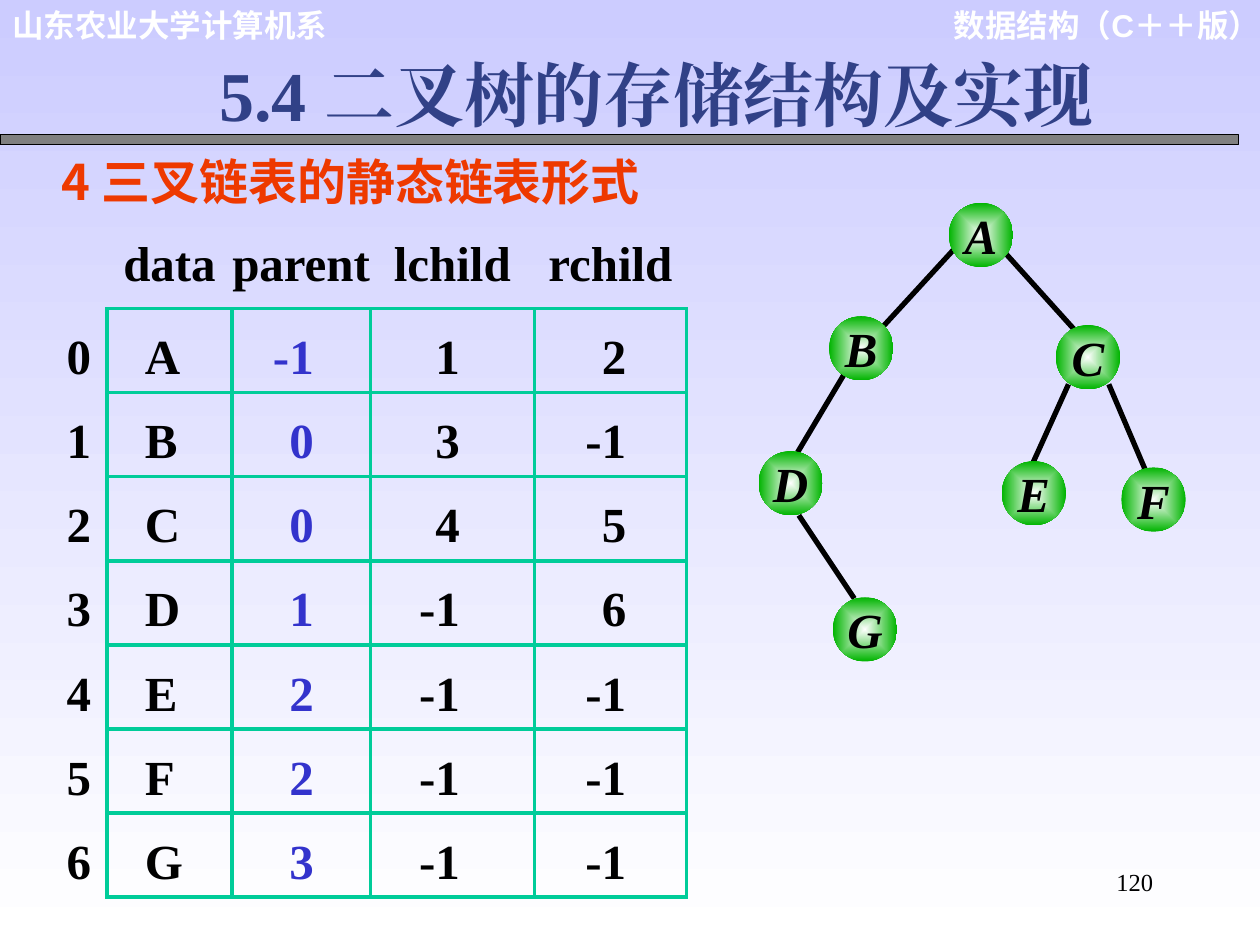
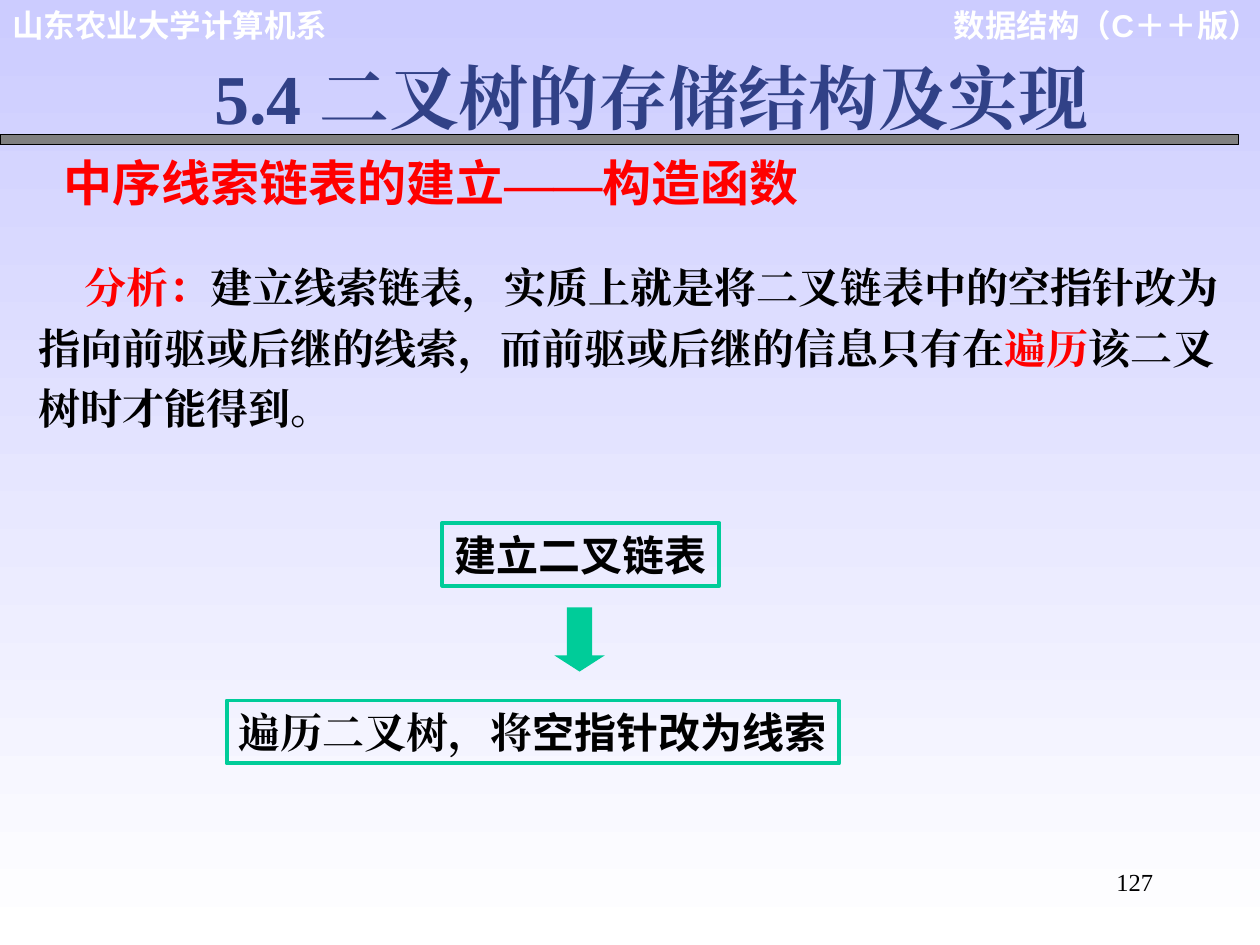
from dataclasses import dataclass
from itertools import accumulate

from lxml import etree
from pptx import Presentation
from pptx.dml.color import RGBColor
from pptx.enum.shapes import MSO_CONNECTOR, MSO_SHAPE
from pptx.enum.text import MSO_ANCHOR, MSO_AUTO_SIZE, PP_ALIGN
from pptx.oxml.ns import qn
from pptx.util import Inches, Pt

LEFT, CENTER, RIGHT, JUSTIFY = PP_ALIGN.LEFT, PP_ALIGN.CENTER, PP_ALIGN.RIGHT, PP_ALIGN.JUSTIFY
TOP, MIDDLE = MSO_ANCHOR.TOP, MSO_ANCHOR.MIDDLE
RECTANGLE, OVAL, DOWN_ARROW = MSO_SHAPE.RECTANGLE, MSO_SHAPE.OVAL, MSO_SHAPE.DOWN_ARROW
STRAIGHT = MSO_CONNECTOR.STRAIGHT
TITLE_ONLY = 5


@dataclass(frozen=True)
class Theme:
    serif: str = "Times New Roman"
    sans: str = "Arial"
    chinese: str = "Noto Sans CJK SC"
    black: str = "000000"
    white: str = "FFFFFF"
    sky: str = "CCCCFF"
    band: str = "808080"
    title: str = "314187"
    orange: str = "EE3900"
    red: str = "FF0000"
    blue: str = "3333CC"
    teal: str = "00CC99"
    green: str = "00B400"
    title_size: int = 40
    heading_size: int = 28
    body_size: int = 24
    header_size: int = 18
    number_size: int = 14


THEME = Theme()

# Content shared by both slides
DEPARTMENT = "山东农业大学计算机系"
COURSE = "数据结构（C＋＋版）"
TITLE = "5.4 二叉树的存储结构及实现"

# Slide 1: static linked list and its tree
LIST_HEADING = "4 三叉链表的静态链表形式"
FIELDS = ["", "data", "parent", "lchild", "rchild"]
RECORDS = [
    ("A", -1, 1, 2),
    ("B", 0, 3, -1),
    ("C", 0, 4, 5),
    ("D", 1, -1, 6),
    ("E", 2, -1, -1),
    ("F", 2, -1, -1),
    ("G", 3, -1, -1),
]
# Width, alignment, left margin, right margin and colour of each column
COLUMNS = [
    (0.45, CENTER, 0, 0, THEME.black),
    (0.99, LEFT, 0.3, 0, THEME.black),
    (1.1, RIGHT, 0, 0.45, THEME.blue),
    (1.3, RIGHT, 0, 0.59, THEME.black),
    (1.21, RIGHT, 0, 0.48, THEME.black),
]
TABLE_LEFT, TABLE_TOP = 0.4, 1.75
HEAD_HEIGHT, GRID_HEIGHT = 0.7, 4.67

NODE_SIZE = 0.51
NODES = {
    "A": (7.53, 1.61), "B": (6.58, 2.51), "C": (8.38, 2.58), "D": (6.02, 3.58),
    "E": (7.95, 3.66), "F": (8.9, 3.71), "G": (6.61, 4.74),
}
EDGES = [
    (7.57, 1.98, 7.01, 2.59),
    (7.98, 2.01, 8.53, 2.62),
    (6.7, 2.97, 6.33, 3.59),
    (6.34, 4.09, 6.78, 4.75),
    (8.48, 3.05, 8.2, 3.67),
    (8.8, 3.05, 9.09, 3.73),
]

# Slide 2: building the threaded list; a run is text or (text, format)
THREAD_HEADING = ["中序线索链表的建立", ("——", {"font": THEME.serif}), "构造函数"]
ANALYSIS = [
    ("分析：", {"color": THEME.red}),
    "建立线索链表，实质上就是将二叉链表中的空指针改为指向前驱或后继的线索，"
    "而前驱或后继的信息只有在",
    ("遍历", {"color": THEME.red}),
    "该二叉树时才能得到。",
]
STEPS = [
    ((3.51, 4.15, 2.2, 0.5), [("建立二叉链表", {"font": THEME.sans})]),
    ((1.8, 5.56, 4.86, 0.5), ["遍历二叉树，将", ("空指针改为线索", {"font": THEME.sans})]),
]


def rgb(color):
    return RGBColor.from_string(color)


def inches(*values):
    return [Inches(value) for value in values]


def format_span(span, size, color, font, bold, italic):
    span.font.size = Pt(size)
    span.font.bold = bold
    span.font.italic = italic
    span.font.name = font
    span.font.color.rgb = rgb(color)
    latin = span.font._element.find(qn("a:latin"))
    east_asian = etree.Element(qn("a:ea"), typeface=font)
    latin.addnext(east_asian)


def write_text(frame, text, size=THEME.heading_size, color=THEME.black, font=THEME.serif,
               bold=True, italic=False, align=LEFT, anchor=TOP, wrap=True,
               margins=(0.1, 0.05, 0.1, 0.05), line_spacing=None, indent=0):
    """Fill a shape's or cell's text frame with one paragraph of runs."""
    frame.word_wrap = wrap
    frame.vertical_anchor = anchor
    (frame.margin_left, frame.margin_top,
     frame.margin_right, frame.margin_bottom) = inches(*margins)
    para = frame.paragraphs[0]
    para.alignment = align
    if line_spacing:
        para.line_spacing = line_spacing
    if indent:
        para._p.get_or_add_pPr().set("indent", str(Inches(indent)))
    base = dict(size=size, color=color, font=font, bold=bold, italic=italic)
    for part in [text] if isinstance(text, str) else text:
        words, changes = (part, {}) if isinstance(part, str) else part
        span = para.add_run()
        span.text = words
        format_span(span, **{**base, **changes})


def add_text(page, place, text, **text_format):
    box = page.shapes.add_textbox(*inches(*place))
    write_text(box.text_frame, text, **text_format)


def add_figure(page, kind, place, fill=None, line=None, width=0.75):
    figure = page.shapes.add_shape(kind, *inches(*place))
    figure.shadow.inherit = False
    if fill:
        figure.fill.solid()
        figure.fill.fore_color.rgb = rgb(fill)
    else:
        figure.fill.background()
    if line:
        figure.line.color.rgb = rgb(line)
        figure.line.width = Pt(width)
    else:
        figure.line.fill.background()
    return figure


def set_gradient(fill, first, last):
    fill.gradient()
    for stop, color, position in zip(fill.gradient_stops, (first, last), (0, 1)):
        stop.color.rgb = rgb(color)
        stop.position = position


def add_page(deck, number, title_left, title_top):
    page = deck.slides.add_slide(deck.slide_layouts[TITLE_ONLY])
    # Header texts and band
    header = dict(size=THEME.header_size, color=THEME.white, font=THEME.sans)
    add_text(page, (7.39, 0, 2.71, 0.7), COURSE, align=RIGHT, **header)
    add_text(page, (0, 0, 2.71, 0.4), DEPARTMENT, **header)
    add_figure(page, RECTANGLE, (0, 1.07, 9.83, 0.08), THEME.band, THEME.black)
    # Title and page number
    title = page.shapes.title
    title.left, title.top, title.width, title.height = inches(title_left, title_top, 7.71, 0.77)
    write_text(title.text_frame, TITLE, size=THEME.title_size, color=THEME.title, align=JUSTIFY)
    title.text_frame.auto_size = MSO_AUTO_SIZE.NONE
    add_text(page, (7.17, 6.83, 2.08, 0.5), str(number), size=THEME.number_size,
             bold=False, align=RIGHT)
    return page


def set_borders(cell, visible):
    """Draw the four edges of a cell; visible maps an edge name to a flag."""
    properties = cell._tc.get_or_add_tcPr()
    for position, edge in enumerate(("lnL", "lnR", "lnT", "lnB")):
        line = etree.Element(qn(f"a:{edge}"), w=str(Pt(2.25)))
        if visible[edge]:
            fill = etree.SubElement(line, qn("a:solidFill"))
            etree.SubElement(fill, qn("a:srgbClr"), val=THEME.teal)
        else:
            etree.SubElement(line, qn("a:noFill"))
        properties.insert(position, line)


def add_list_table(page):
    rows = [FIELDS] + [(index, *record) for index, record in enumerate(RECORDS)]
    widths = [column[0] for column in COLUMNS]
    row_height = GRID_HEIGHT / len(RECORDS)
    frame = page.shapes.add_table(
        len(rows), len(COLUMNS),
        *inches(TABLE_LEFT, TABLE_TOP, list(accumulate(widths))[-1], HEAD_HEIGHT + GRID_HEIGHT))
    table = frame.table
    table.first_row = table.horz_banding = False
    for column, width in zip(table.columns, widths):
        column.width = Inches(width)
    for row_index, values in enumerate(rows):
        in_grid = row_index > 0
        table.rows[row_index].height = Inches(row_height if in_grid else HEAD_HEIGHT)
        for column_index, value in enumerate(values):
            _, align, left, right, color = COLUMNS[column_index]
            cell = table.cell(row_index, column_index)
            cell.fill.background()
            in_columns = column_index > 0
            set_borders(cell, {
                "lnL": in_grid and in_columns, "lnR": in_grid,
                "lnT": in_grid and in_columns, "lnB": in_columns,
            })
            # Cells share the text frame's margins and anchor through the cell itself
            top = 0.12 if in_grid else 0
            margins = (left, top, right, 0) if in_grid else (0, 0, 0, 0)
            (cell.margin_left, cell.margin_top,
             cell.margin_right, cell.margin_bottom) = inches(*margins)
            cell.vertical_anchor = MIDDLE
            para = cell.text_frame.paragraphs[0]
            para.alignment = align if in_grid else CENTER
            span = para.add_run()
            span.text = str(value)
            format_span(span, THEME.heading_size, color if in_grid else THEME.black,
                        THEME.serif, True, False)


def add_tree(page):
    for edge in EDGES:
        line = page.shapes.add_connector(STRAIGHT, *inches(*edge))
        line.line.color.rgb = rgb(THEME.black)
        line.line.width = Pt(3)
        etree.SubElement(line._element.spPr, qn("a:effectLst"))
    for name, (left, top) in NODES.items():
        node = add_figure(page, OVAL, (left, top, NODE_SIZE, NODE_SIZE))
        set_gradient(node.fill, THEME.white, THEME.green)
        # Spread the gradient from the centre of the node
        linear = node._element.spPr.find(qn("a:gradFill")).find(qn("a:lin"))
        spread = etree.Element(qn("a:path"), path="rect")
        etree.SubElement(spread, qn("a:fillToRect"), dict.fromkeys("ltrb", "50000"))
        linear.getparent().replace(linear, spread)
        write_text(node.text_frame, name, italic=True, align=CENTER, anchor=MIDDLE,
                   wrap=False, margins=(0, 0, 0, 0))


def build_list_page(deck):
    page = add_page(deck, 120, 1.64, 0.36)
    add_text(page, (0.39, 1.15, 5.51, 0.57), LIST_HEADING, color=THEME.orange,
             font=THEME.chinese)
    add_list_table(page)
    add_tree(page)


def build_thread_page(deck):
    page = add_page(deck, 127, 1.6, 0.38)
    add_text(page, (0.41, 1.16, 7.23, 0.57), THREAD_HEADING, color=THEME.red,
             font=THEME.chinese, align=JUSTIFY)
    add_text(page, (0.21, 1.95, 9.57, 1.62), ANALYSIS, size=THEME.body_size,
             line_spacing=1.2, indent=0.36)
    # Two steps joined by a block arrow
    for place, text in STEPS:
        step = add_figure(page, RECTANGLE, place, line=THEME.teal, width=2.25)
        write_text(step.text_frame, text, size=THEME.body_size, align=CENTER,
                   anchor=MIDDLE, wrap=False)
    arrow = add_figure(page, DOWN_ARROW, (4.4, 4.82, 0.4, 0.51), THEME.teal)
    arrow.adjustments[0] = 0.5
    arrow.adjustments[1] = 0.32


def main():
    deck = Presentation()
    deck.slide_width, deck.slide_height = inches(10, 7.5)
    background = deck.slide_master.background.fill
    set_gradient(background, THEME.sky, THEME.white)
    background.gradient_angle = 270
    build_list_page(deck)
    build_thread_page(deck)
    deck.save("out.pptx")


if __name__ == "__main__":
    main()
